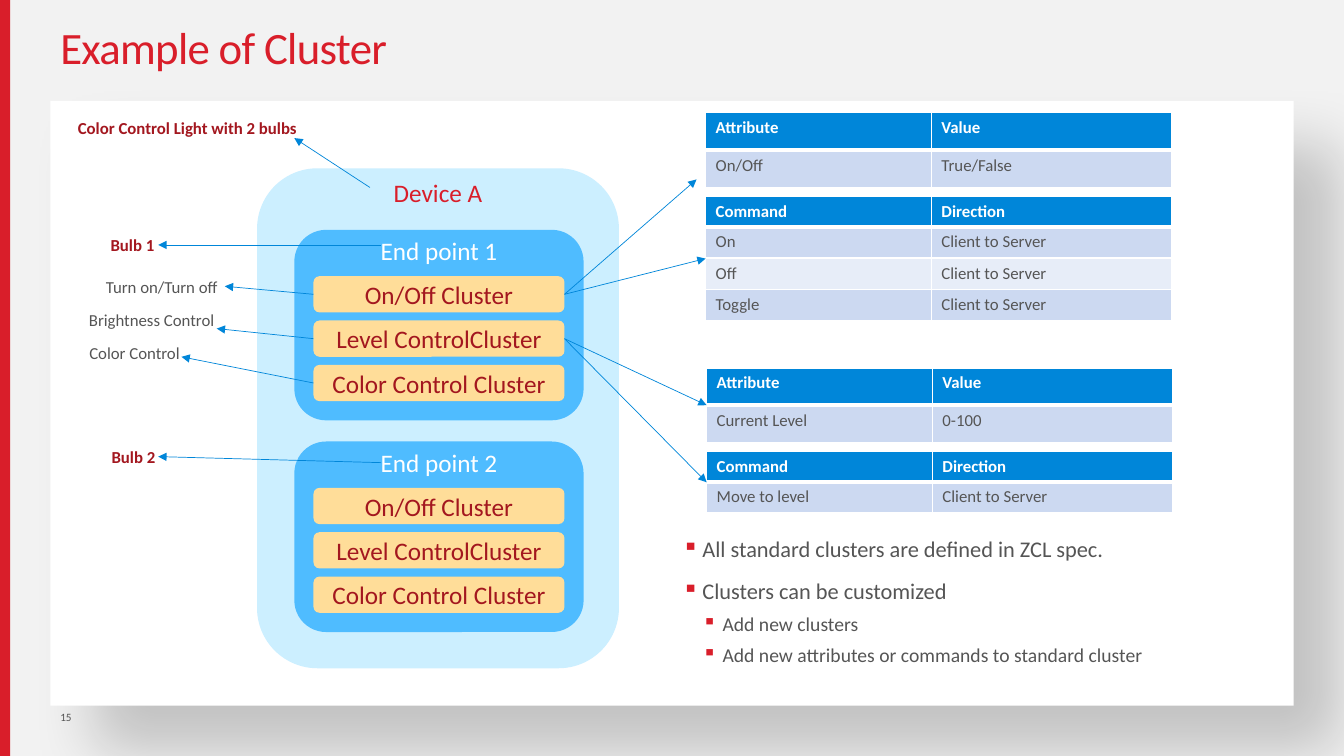
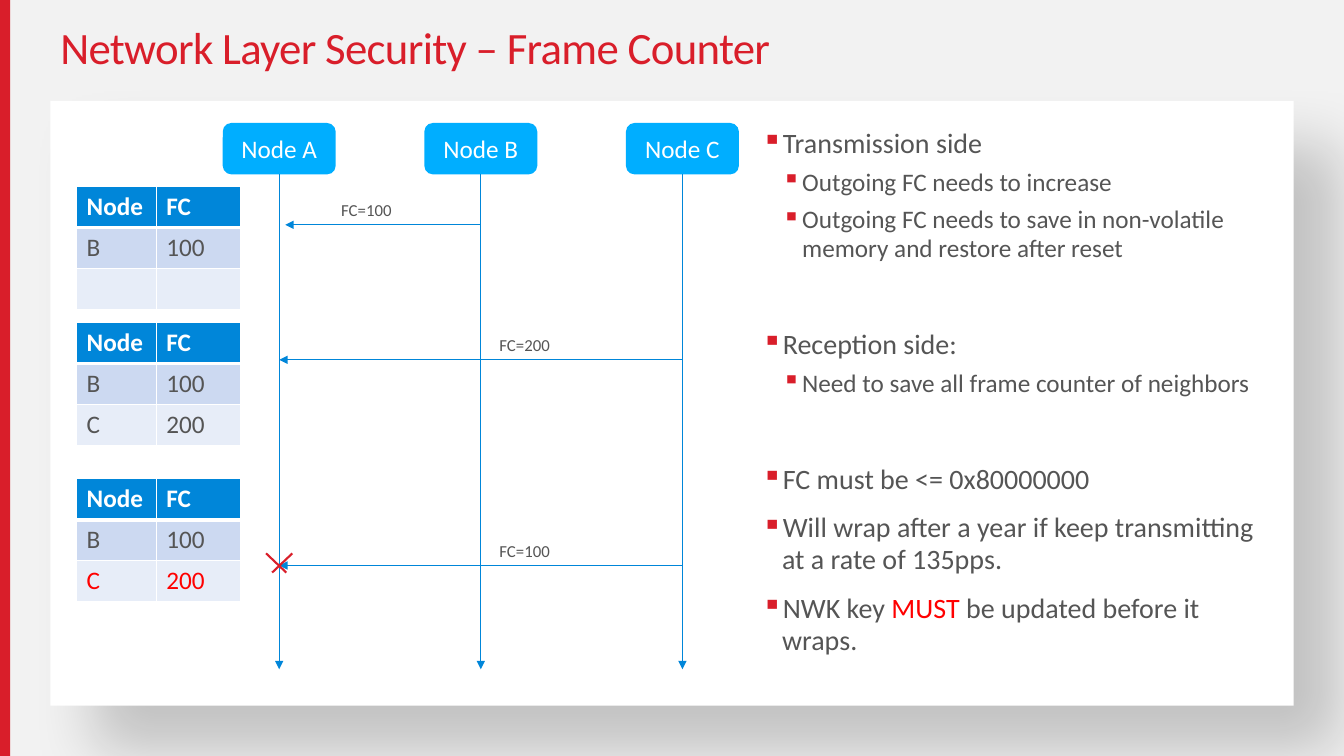
from typing import NamedTuple

from lxml.etree import SubElement
from pptx import Presentation
from pptx.dml.color import RGBColor
from pptx.enum.shapes import MSO_CONNECTOR as Connector, MSO_SHAPE as Shape
from pptx.enum.text import MSO_ANCHOR as Anchor, PP_ALIGN as Align
from pptx.oxml.ns import qn
from pptx.util import Inches, Pt

COLORS = {
    "page": "F2F2F2", "white": "FFFFFF", "shadow": "000000",
    "brand": "D91E2A", "dark_red": "A3171F", "alert": "FF0000", "body": "555555",
    "device": "CCEFFF", "endpoint": "4FBCFF", "cluster": "FFDD99", "node": "00AEFF",
    "line": "0086D9", "band_odd": "CCD9F1", "band_even": "E7EDF8",
}
FONT = "Calibri"
CELL = 0.1
TOP, LEFT, BOTTOM, RIGHT = range(4)


class Box(NamedTuple):
    """Rectangle in grid columns and rows."""
    x: float
    y: float
    w: float
    h: float

    def sub(self, dx, dy, w, h):
        """Box placed relative to this one."""
        return Box(self.x + dx, self.y + dy, w, h)

    def point(self, dx, dy):
        """Point placed relative to this box."""
        return self.x + dx, self.y + dy


PAGE = Box(0, 0, 133.33, 75)
PANEL = Box(5, 10, 123.33, 60)


def grid(*lengths):
    """Turn grid lengths into slide lengths."""
    return [Inches(length * CELL) for length in lengths]


def rgb(name):
    """Look up a named colour."""
    return RGBColor.from_string(COLORS[name])


def style_run(run, size, color, bold=False):
    """Give a run its font."""
    run.font.name, run.font.size, run.font.bold = FONT, Pt(size), bold
    run.font.color.rgb = rgb(color)


def write(frame, text, size, color, bold=False, align=Align.CENTER, anchor=Anchor.MIDDLE):
    """Fill a text frame with one styled paragraph."""
    frame.word_wrap, frame.vertical_anchor = True, anchor
    paragraph = frame.paragraphs[0]
    paragraph.text, paragraph.alignment = text, align
    for run in paragraph.runs:
        style_run(run, size, color, bold)
    return paragraph


def label(slide, box, text, size, color, **style):
    """Add a text box with one paragraph."""
    return write(slide.shapes.add_textbox(*grid(*box)).text_frame, text, size, color, **style)


def block(slide, box, fill, text="", color="white", kind=Shape.ROUNDED_RECTANGLE):
    """Add a filled shape with an optional centred caption."""
    shape = slide.shapes.add_shape(kind, *grid(*box))
    shape.shadow.inherit = False
    shape.fill.solid()
    shape.fill.fore_color.rgb = rgb(fill)
    shape.line.fill.background()
    if text:
        write(shape.text_frame, text, 18, color)
    return shape


def link(slide, start, end, color="line", weight=0.5, arrow=True):
    """Join two ends, each a grid point or a (shape, side) pair."""
    glued = [not isinstance(place[0], (int, float)) for place in (start, end)]
    origin, tip = [(0, 0) if held else place for held, place in zip(glued, (start, end))]
    line = slide.shapes.add_connector(Connector.STRAIGHT, *grid(*origin, *tip))
    if glued[0]:
        line.begin_connect(*start)
    if glued[1]:
        line.end_connect(*end)
    line.line.color.rgb = rgb(color)
    line.line.width = Pt(weight)
    properties = line._element.spPr
    if arrow:
        SubElement(properties.find(qn("a:ln")), qn("a:tailEnd"), type="triangle")
    SubElement(properties, qn("a:effectLst"))


def cell_borders(cell, weights):
    """Draw white borders, weights in points by side."""
    properties = cell._tc.get_or_add_tcPr()
    for side, weight in weights.items():
        border = SubElement(properties, qn(f"a:ln{side}"), w=str(Pt(weight)))
        SubElement(SubElement(border, qn("a:solidFill")), qn("a:srgbClr"), val=COLORS["white"])


def data_table(slide, box, columns, heights, rows, size, alert_row=None):
    """Add a table with a header row and banded body rows."""
    frame = slide.shapes.add_table(len(rows), len(columns), *grid(*box))
    table = frame.table
    table.horz_banding = False
    for column, width in zip(table.columns, grid(*columns)):
        column.width = width
    for r, (row, height, values) in enumerate(zip(table.rows, grid(*heights), rows)):
        row.height = height
        fill = "line" if r == 0 else "band_odd" if r % 2 else "band_even"
        color = "white" if r == 0 else "alert" if r == alert_row else "body"
        for cell, value in zip(row.cells, values):
            cell_borders(cell, {"L": 1, "R": 1, "T": 3 if r == 1 else 1, "B": 1 if r else 3})
            cell.fill.solid()
            cell.fill.fore_color.rgb = rgb(fill)
            cell.text = value
            for run in cell.text_frame.paragraphs[0].runs:
                style_run(run, size, color, r == 0)
    return frame


def bullets(slide, box, sizes, items):
    """Add bullets as (level, text, space before); text between asterisks is red."""
    frame = slide.shapes.add_textbox(*grid(*box)).text_frame
    frame.word_wrap = True
    for i, (level, text, space) in enumerate(items):
        paragraph = frame.add_paragraph() if i else frame.paragraphs[0]
        paragraph.level = level
        paragraph.line_spacing, paragraph.space_before = 0.95, Pt(space)
        for part, words in enumerate(text.split("*")):
            run = paragraph.add_run()
            run.text = words
            style_run(run, sizes[level], "alert" if part % 2 else "body")
        properties = paragraph._p.get_or_add_pPr()
        properties.set("marL", str(Inches(0.2 * (level + 1))))
        properties.set("indent", str(Inches(-0.2)))
        SubElement(SubElement(properties, qn("a:buClr")), qn("a:srgbClr"), val=COLORS["brand"])
        SubElement(properties, qn("a:buChar"), char="▪")


def base_slide(deck, title, number=""):
    """Add a slide with side band, white panel, title and number."""
    slide = deck.slides.add_slide(deck.slide_layouts[6])
    slide.background.fill.solid()
    slide.background.fill.fore_color.rgb = rgb("page")
    block(slide, PAGE.sub(0, 0, 1, PAGE.h), "brand", kind=Shape.RECTANGLE)
    panel = block(slide, PANEL, "white", kind=Shape.RECTANGLE)
    effects = panel._element.spPr.find(qn("a:effectLst"))
    shadow = SubElement(effects, qn("a:outerShdw"), blurRad=str(Pt(45)), dist=str(Pt(45)),
                        dir="2700000", algn="tl", rotWithShape="0")
    tint = SubElement(shadow, qn("a:srgbClr"), val=COLORS["shadow"])
    SubElement(tint, qn("a:alpha"), val="20000")
    heading = label(slide, PAGE.sub(PANEL.x, 0, PANEL.w, 10), title, 32, "brand",
                    align=Align.LEFT)
    heading.line_spacing = 0.9
    heading.runs[0].font._element.set("spc", "-50")
    if number:
        label(slide, PAGE.sub(PANEL.x, 70, 3.5, 5), number, 8, "body",
              align=Align.LEFT, anchor=Anchor.TOP)
    return slide


def device_diagram(slide, box):
    """Draw the device with its end points; return the first one's clusters."""
    block(slide, box, "device")
    label(slide, box.sub(0, 0, box.w, 4.8), "Device A", 18, "brand")
    clusters = []
    for i in range(2):
        endpoint = box.sub(3.7, 6.1 + 21 * i, 28.7, 18.9)
        block(slide, endpoint, "endpoint")
        label(slide, endpoint.sub(0, 0, endpoint.w, 4.1), f"End point {i + 1}", 18, "white")
        for j, name in enumerate(("On/Off Cluster", "Level ControlCluster",
                                  "Color Control Cluster")):
            clusters.append(block(slide, endpoint.sub(1.9, 4.6 + 4.4 * j, 24.9, 3.6),
                                  "cluster", name, "dark_red"))
    return clusters[:3]


def callouts(slide, box, clusters):
    """Add the notes left of the device with their arrows."""
    parts = (
        ("Color Control Light with 2 bulbs", (1.1, 1.2, 25, 3), (31.7, 8.6), (24.2, 3.7)),
        ("Bulb 1", (1, 12.8, 14.3, 3), (32.8, 14.3), (10.7, 14.3)),
        ("Bulb 2", (1.1, 33.8, 14.3, 3), (32.8, 35.9), (10.7, 35.3)),
    )
    for text, place, start, tip in parts:
        label(slide, box.sub(*place), text, 12, "dark_red", bold=True)
        link(slide, box.point(*start), box.point(*tip))
    functions = (
        ("Turn on/Turn off", (3.5, 16.9), (17.3, 18.4)),
        ("Brightness Control", (2.5, 20.2), (16.5, 22.6)),
        ("Color Control", (0.8, 23.4), (13, 25.4)),
    )
    for cluster, (text, corner, tip) in zip(clusters, functions):
        label(slide, box.sub(*corner, 15.1, 3.1), text, 12, "body")
        link(slide, (cluster, LEFT), box.point(*tip))


def cluster_tables(slide, box, attribute, commands):
    """Stack the attribute and command tables of one cluster."""
    columns = 22.4, 23.8
    attributes = data_table(slide, box.sub(0, 0, box.w, 7.4), columns, (3.7, 3.7),
                            [("Attribute", "Value"), attribute], 12)
    rows = [("Command", "Direction")] + [(name, "Client to Server") for name in commands]
    heights = [3] + [3.1] * len(commands)
    actions = data_table(slide, box.sub(0, 8.3, box.w, sum(heights)), columns, heights, rows, 12)
    return attributes, actions


def cluster_slide(deck):
    """Build the cluster example."""
    slide = base_slide(deck, "Example of Cluster", "15")
    clusters = device_diagram(slide, Box(25.5, 16.7, 35.9, 49.6))
    callouts(slide, PANEL, clusters)
    switch_box = Box(70, 11.2, 46.2, 20)
    _, switch_commands = cluster_tables(slide, switch_box, ("On/Off", "True/False"),
                                        ("On", "Off", "Toggle"))
    level_tables = cluster_tables(slide, Box(70.1, 36.5, 46.2, 14.4),
                                  ("Current Level", "0-100"), ("Move to level",))
    switch, level, _ = clusters
    link(slide, (switch, RIGHT), switch_box.point(-0.9, 6.6))
    link(slide, (switch, RIGHT), (switch_commands, LEFT))
    for table in level_tables:
        link(slide, (level, RIGHT), (table, LEFT))
    bullets(slide, Box(66.7, 52.8, 59.1, 15), (16, 14), (
        (0, "All standard clusters are defined in ZCL spec.", 12),
        (0, "Clusters can be customized", 12),
        (1, "Add new clusters", 6),
        (1, "Add new attributes or commands to standard cluster", 6),
    ))


def sequence_diagram(slide, box):
    """Draw the nodes, their lifelines and the messages between them."""
    width, height, pitch = 11.2, 5.1, 20
    centers = [box.x + width / 2 + pitch * i for i in range(3)]
    for name, center in zip("ABC", centers):
        node = block(slide, Box(center - width / 2, box.y, width, height), "node",
                     f"Node {name}")
        link(slide, (node, BOTTOM), (center, box.y + box.h))
    messages = ((1, 0.6, 10.1, "FC=100", 10.4), (2, 0, 23.5, "FC=200", 26.1),
                (2, 0, 43.9, "FC=100", 26.1))
    for sender, gap, row, text, column in messages:
        y = box.y + row
        link(slide, (centers[sender], y), (centers[0] + gap, y))
        label(slide, box.sub(column, row - 3, 7.7, 3), text, 12, "body")
    for side in (1, -1):
        link(slide, (centers[0] + 1.3 * side, box.y + 42.7),
             (centers[0] - 0.7 * side, box.y + 44.6), "brand", 1.5, arrow=False)


def counter_tables(slide, box):
    """Show the stored frame counters after each message."""
    states = ((0, ("", ""), None), (13.5, ("C", "200"), None), (29, ("C", "200"), 2))
    for offset, last_row, alert_row in states:
        data_table(slide, box.sub(0, offset, box.w, 12.2), (7.9, 8.4), (4.07,) * 3,
                   [("Node", "FC"), ("B", "100"), last_row], 18, alert_row)


def security_slide(deck):
    """Build the frame counter slide."""
    slide = base_slide(deck, "Network Layer Security – Frame Counter")
    sequence_diagram(slide, Box(22.1, 12.2, 51.2, 54.2))
    counter_tables(slide, Box(7.6, 18.5, 16.3, 41.2))
    bullets(slide, Box(74.6, 12.2, 51.1, 31.1), (20, 18), (
        (0, "Transmission side", 12),
        (1, "Outgoing FC needs to increase", 6),
        (1, "Outgoing FC needs to save in non-volatile memory and restore after reset", 6),
        (0, "Reception side:", 47),
        (1, "Need to save all frame counter of neighbors", 6),
    ))
    bullets(slide, Box(74.6, 45.5, 51.1, 20.8), (20, 18), (
        (0, "FC must be <= 0x80000000", 12),
        (0, "Will wrap after a year if keep transmitting at a rate of 135pps.", 12),
        (0, "NWK key *MUST* be updated before it wraps.", 12),
    ))


def main():
    """Build and save the deck."""
    deck = Presentation()
    deck.slide_width, deck.slide_height = grid(PAGE.w, PAGE.h)
    cluster_slide(deck)
    security_slide(deck)
    deck.save("out.pptx")


if __name__ == "__main__":
    main()
